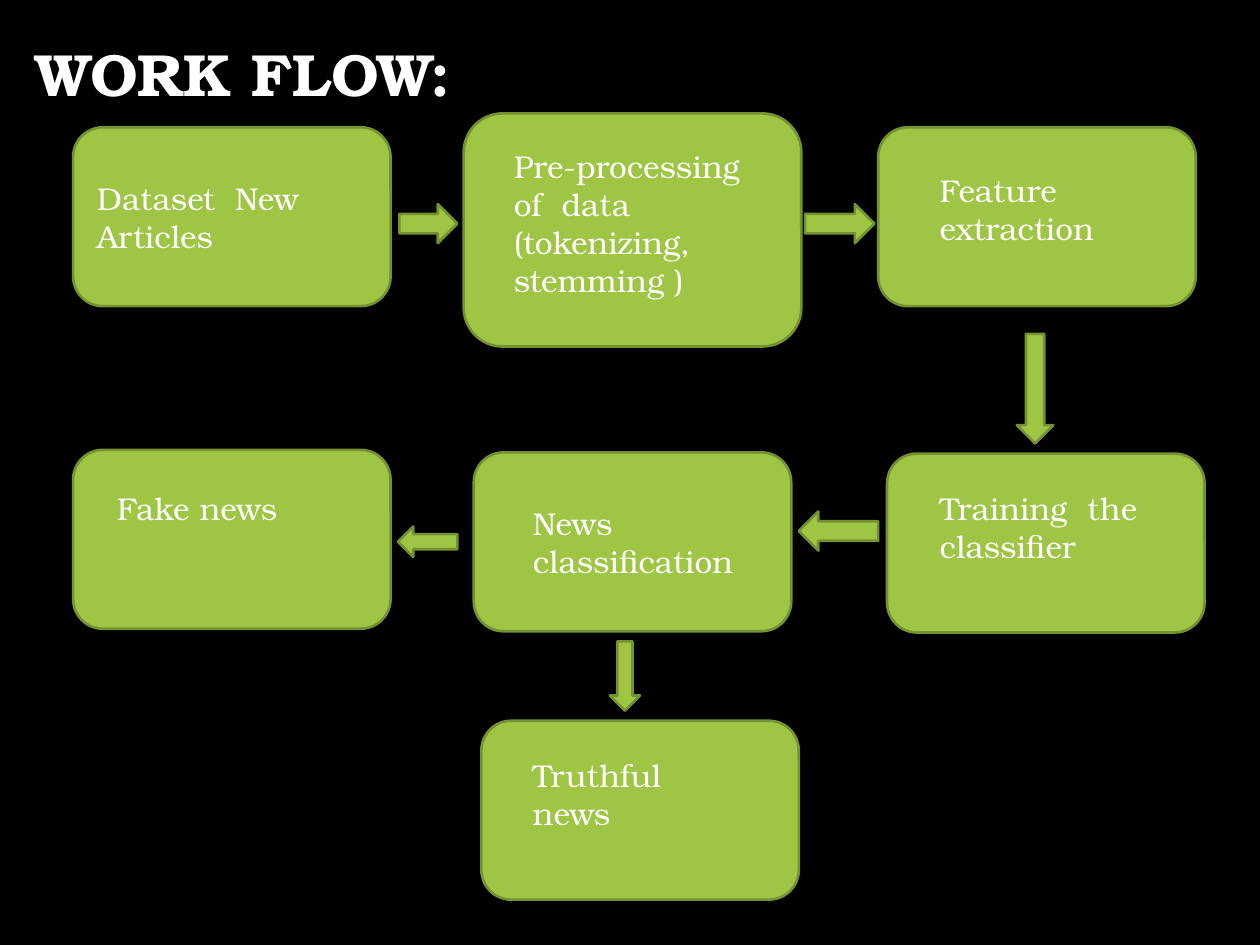
from dataclasses import dataclass

from pptx import Presentation
from pptx.dml.color import RGBColor
from pptx.enum.shapes import MSO_SHAPE
from pptx.enum.text import MSO_ANCHOR, PP_ALIGN
from pptx.util import Inches, Pt


@dataclass(frozen=True)
class Theme:
    back: RGBColor = RGBColor(0, 0, 0)
    fill: RGBColor = RGBColor(0x9E, 0xC5, 0x44)
    edge: RGBColor = RGBColor(0x75, 0x92, 0x32)
    text: RGBColor = RGBColor(255, 255, 255)
    font: str = "TeX Gyre Bonum"
    head: Pt = Pt(34)
    body: Pt = Pt(18)
    line: Pt = Pt(1.5)


THEME = Theme()
WIDE, HIGH = 2.52, 1.42  # usual step size

# Step box, label box, label
STEPS = [
    ((0.58, 1.01, WIDE, HIGH), (0.67, 1.37, 2.05, 0.71), "Dataset  New\nArticles"),
    ((3.68, 0.9, 2.68, 1.85), (3.98, 1.12, 2.13, 1.31),
     "Pre-processing  of  data  (tokenizing,  stemming )"),
    ((6.97, 1.01, WIDE, HIGH), (7.36, 1.31, 1.97, 0.71), "Feature\nextraction"),
    ((7.04, 3.6, WIDE, HIGH), (7.36, 3.83, 2.05, 0.71), "Training  the  classifier"),
    ((3.76, 3.59, WIDE, HIGH), (4.13, 3.95, 1.81, 0.71), "News\nclassification"),
    ((0.58, 3.57, WIDE, HIGH), (0.83, 3.83, 2.05, 0.4), "Fake news"),
    ((3.82, 5.72, WIDE, HIGH), (4.13, 5.95, 1.97, 0.71), "Truthful\nnews"),
]

ARROWS = [
    (MSO_SHAPE.RIGHT_ARROW, (3.17, 1.62, 0.46, 0.31)),
    (MSO_SHAPE.RIGHT_ARROW, (6.39, 1.62, 0.55, 0.31)),
    (MSO_SHAPE.DOWN_ARROW, (8.07, 2.65, 0.29, 0.87)),
    (MSO_SHAPE.LEFT_ARROW, (6.34, 4.06, 0.63, 0.31)),
    (MSO_SHAPE.LEFT_ARROW, (3.16, 4.18, 0.47, 0.24)),
    (MSO_SHAPE.DOWN_ARROW, (4.84, 5.09, 0.24, 0.55)),
]


def add_form(slide, kind, box):
    form = slide.shapes.add_shape(kind, *map(Inches, box))
    form.shadow.inherit = False
    form.fill.solid()
    form.fill.fore_color.rgb = THEME.fill
    form.line.color.rgb = THEME.edge
    form.line.width = THEME.line


def add_text(slide, box, text, size, bold=False):
    frame = slide.shapes.add_textbox(*map(Inches, box)).text_frame
    frame.word_wrap = True
    frame.text = text
    for para in frame.paragraphs:
        para.font.name = THEME.font
        para.font.size = size
        para.font.bold = bold
        para.font.color.rgb = THEME.text
    return frame


def add_title(slide, box):
    frame = add_text(slide, box, "WORK FLOW:", THEME.head, bold=True)
    frame.vertical_anchor = MSO_ANCHOR.MIDDLE
    para = frame.paragraphs[0]
    para.alignment = PP_ALIGN.CENTER
    para.line_spacing = 0.9


def add_step(slide, box, inner, label):
    add_form(slide, MSO_SHAPE.ROUNDED_RECTANGLE, box)
    add_text(slide, inner, label, THEME.body)


def main():
    deck = Presentation()
    deck.slide_width, deck.slide_height = Inches(10), Inches(7.5)
    slide = deck.slides.add_slide(deck.slide_layouts[6])
    slide.background.fill.solid()
    slide.background.fill.fore_color.rgb = THEME.back

    # Title
    add_title(slide, (0, 0.24, 3.86, 0.74))

    # Steps of the flow
    for step in STEPS:
        add_step(slide, *step)

    # Arrows between steps
    for kind, box in ARROWS:
        add_form(slide, kind, box)

    deck.save("out.pptx")


if __name__ == "__main__":
    main()
